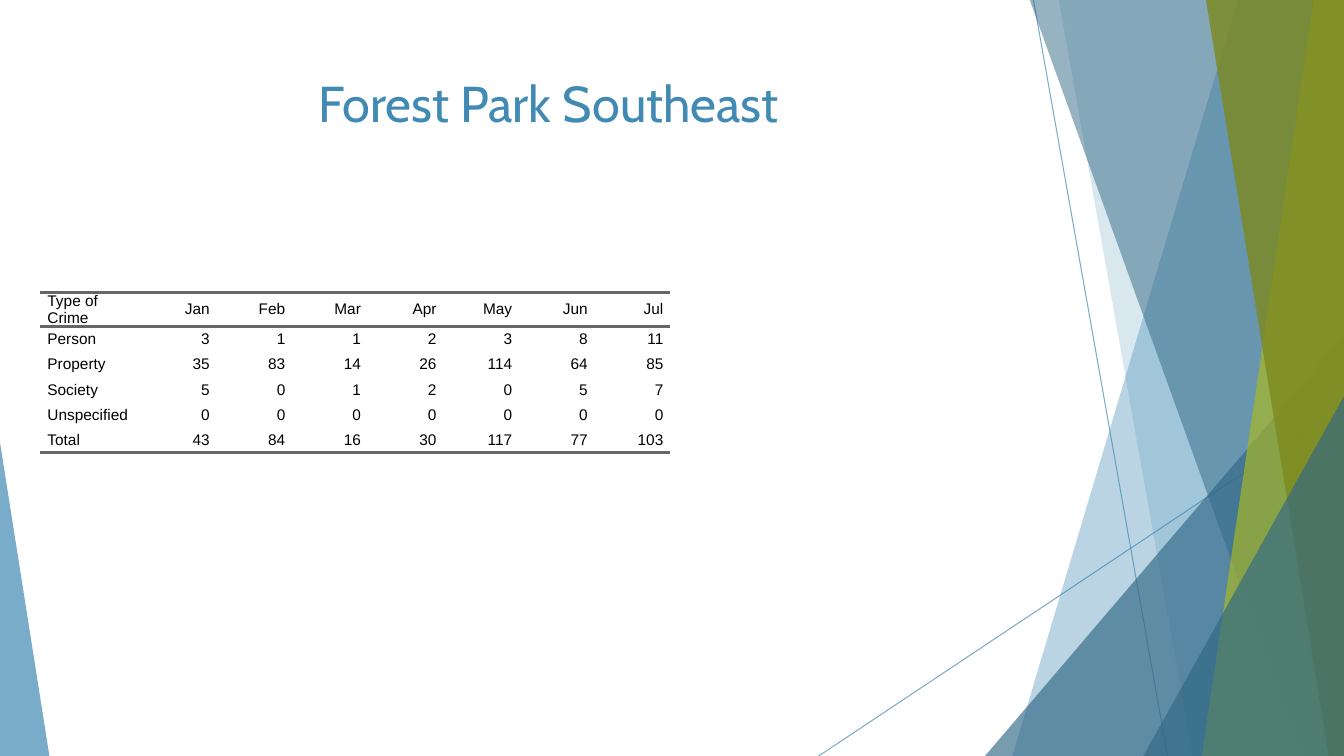
from dataclasses import dataclass

from lxml.etree import SubElement
from pptx import Presentation
from pptx.dml.color import RGBColor
from pptx.enum.shapes import MSO_CONNECTOR, MSO_SHAPE
from pptx.enum.text import MSO_ANCHOR, PP_ALIGN
from pptx.oxml.ns import qn
from pptx.util import Inches, Pt

SLIDE_WIDTH, SLIDE_HEIGHT = 13.33, 7.5


@dataclass(frozen=True)
class Theme:
    blue: str = "418AB3"
    dark_blue: str = "316886"
    green: str = "A6B727"
    dark_green: str = "7D891D"
    rule: str = "666666"
    text: str = "000000"
    title_font: str = "Cabin"
    table_font: str = "Arial"
    title_size: float = 36
    table_size: float = 11
    rule_width: float = 2
    hairline: float = 0.75


class SlideBuilder:
    NO_GRID_STYLE = "{2D5ABB26-0587-4C30-8999-92F81FD0307C}"

    def __init__(self, slide, theme):
        self.slide = slide
        self.shapes = slide.shapes
        self.theme = theme

    def _set_opacity(self, shape, percent):
        for color in shape._element.spPr.iter(qn("a:srgbClr")):
            SubElement(color, qn("a:alpha")).set("val", str(percent * 1000))

    def _paint(self, shape, color, opacity):
        shape.shadow.inherit = False
        shape.fill.solid()
        shape.fill.fore_color.rgb = RGBColor.from_string(color)
        shape.line.fill.background()
        self._set_opacity(shape, opacity)

    def _format_runs(self, paragraph, font, size, color):
        for run in paragraph.runs:
            run.font.name = font
            run.font.size = Pt(size)
            run.font.color.rgb = RGBColor.from_string(color)

    def line(self, start, end):
        points = [Inches(value) for value in (*start, *end)]
        connector = self.shapes.add_connector(MSO_CONNECTOR.STRAIGHT, *points)
        connector.line.width = Pt(self.theme.hairline)
        connector.line.color.rgb = RGBColor.from_string(self.theme.blue)
        self._set_opacity(connector, 70)
        SubElement(connector._element.spPr, qn("a:effectLst"))

    def facet(self, top_x, bottom_x, color, opacity):
        """Full-height panel from a slanted left edge to the right slide edge."""
        top = -0.01
        corners = [(SLIDE_WIDTH, top), (SLIDE_WIDTH, SLIDE_HEIGHT), (bottom_x, SLIDE_HEIGHT)]
        builder = self.shapes.build_freeform(Inches(top_x), Inches(top))
        builder.add_line_segments([(Inches(x), Inches(y)) for x, y in corners], close=True)
        self._paint(builder.convert_to_shape(), color, opacity)

    def corner(self, left, top, width, apex, color, opacity):
        """Triangle standing on the bottom slide edge; apex 0 is left, 1 is right."""
        triangle = self.shapes.add_shape(
            MSO_SHAPE.ISOSCELES_TRIANGLE,
            Inches(left), Inches(top), Inches(width), Inches(SLIDE_HEIGHT - top))
        triangle.adjustments[0] = apex
        self._paint(triangle, color, opacity)

    def title(self, text, left, top, width, height):
        box = self.shapes.add_textbox(Inches(left), Inches(top), Inches(width), Inches(height))
        frame = box.text_frame
        frame.word_wrap = True
        frame.text = text
        paragraph = frame.paragraphs[0]
        paragraph.alignment = PP_ALIGN.CENTER
        self._format_runs(paragraph, self.theme.title_font, self.theme.title_size, self.theme.blue)

    def table(self, rows, left, top, column_widths, row_height):
        frame = self.shapes.add_table(
            len(rows), len(column_widths), Inches(left), Inches(top),
            Inches(sum(column_widths)), Inches(row_height * len(rows)))
        table = frame.table
        table.first_row = table.horz_banding = False
        table._tbl.tblPr.find(qn("a:tableStyleId")).text = self.NO_GRID_STYLE
        for column, width in zip(table.columns, column_widths):
            column.width = Inches(width)
        for row_index, values in enumerate(rows):
            table.rows[row_index].height = Inches(row_height)
            borders = {0: ("lnT", "lnB"), len(rows) - 1: ("lnB",)}.get(row_index, ())
            for column_index, value in enumerate(values):
                alignment = PP_ALIGN.RIGHT if column_index else PP_ALIGN.LEFT
                self._fill_cell(table.cell(row_index, column_index), value, alignment, borders)

    def _fill_cell(self, cell, value, alignment, borders):
        cell.margin_left = cell.margin_right = cell.margin_top = cell.margin_bottom = 0
        cell.vertical_anchor = MSO_ANCHOR.MIDDLE
        for side in borders:
            self._add_border(cell, side)
        cell.fill.background()
        cell.text_frame.text = str(value)
        paragraph = cell.text_frame.paragraphs[0]
        paragraph.alignment = alignment
        properties = paragraph._p.get_or_add_pPr()
        for margin in ("marL", "marR"):
            properties.set(margin, str(Inches(0.07)))
        properties.set("indent", "0")
        paragraph.space_after = Pt(5)
        self._format_runs(paragraph, self.theme.table_font, self.theme.table_size, self.theme.text)

    def _add_border(self, cell, side):
        border = SubElement(cell._tc.get_or_add_tcPr(), qn(f"a:{side}"))
        border.set("w", str(Pt(self.theme.rule_width)))
        fill = SubElement(border, qn("a:solidFill"))
        SubElement(fill, qn("a:srgbClr")).set("val", self.theme.rule)


def main():
    presentation = Presentation()
    presentation.slide_width = Inches(SLIDE_WIDTH)
    presentation.slide_height = Inches(SLIDE_HEIGHT)
    theme = Theme()
    builder = SlideBuilder(presentation.slides.add_slide(presentation.slide_layouts[6]), theme)

    builder.line((10.25, 0), (11.58, SLIDE_HEIGHT))
    builder.line((SLIDE_WIDTH, 4.03), (8.12, SLIDE_HEIGHT))
    builder.facet(12.28, 10.04, theme.blue, 36)
    builder.facet(10.5, 11.83, theme.blue, 20)
    builder.corner(9.77, 3.33, 3.56, 1, theme.dark_blue, 66)
    builder.facet(10.21, 12.91, theme.dark_blue, 50)
    builder.facet(13.03, 11.92, theme.green, 70)
    builder.facet(11.96, 13.18, theme.dark_green, 80)
    builder.corner(11.34, 3.93, 1.99, 1, theme.dark_blue, 66)
    builder.corner(0, 4.39, 0.49, 0, theme.blue, 70)

    crime_rows = [
        ("Type of Crime", "Jan", "Feb", "Mar", "Apr", "May", "Jun", "Jul"),
        ("Person", 3, 1, 1, 2, 3, 8, 11),
        ("Property", 35, 83, 14, 26, 114, 64, 85),
        ("Society", 5, 0, 1, 2, 0, 5, 7),
        ("Unspecified", 0, 0, 0, 0, 0, 0, 0),
        ("Total", 43, 84, 16, 30, 117, 77, 103),
    ]
    builder.table(crime_rows, 0.4, 2.9, [1] + [0.75] * 7, 0.25)
    builder.title("Forest Park Southeast", 0.74, 0.67, 9.4, 1.44)

    presentation.save("out.pptx")


if __name__ == "__main__":
    main()
